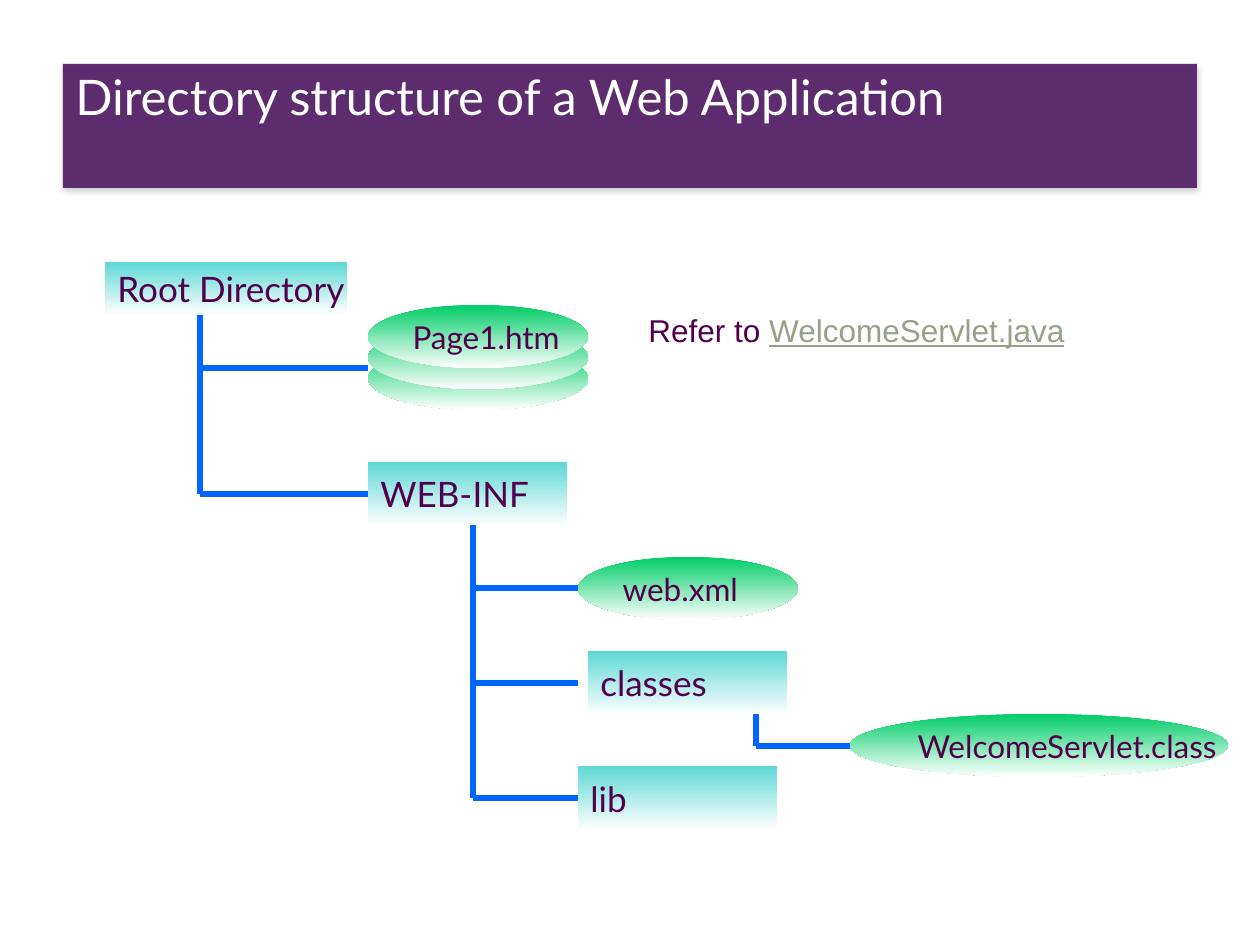
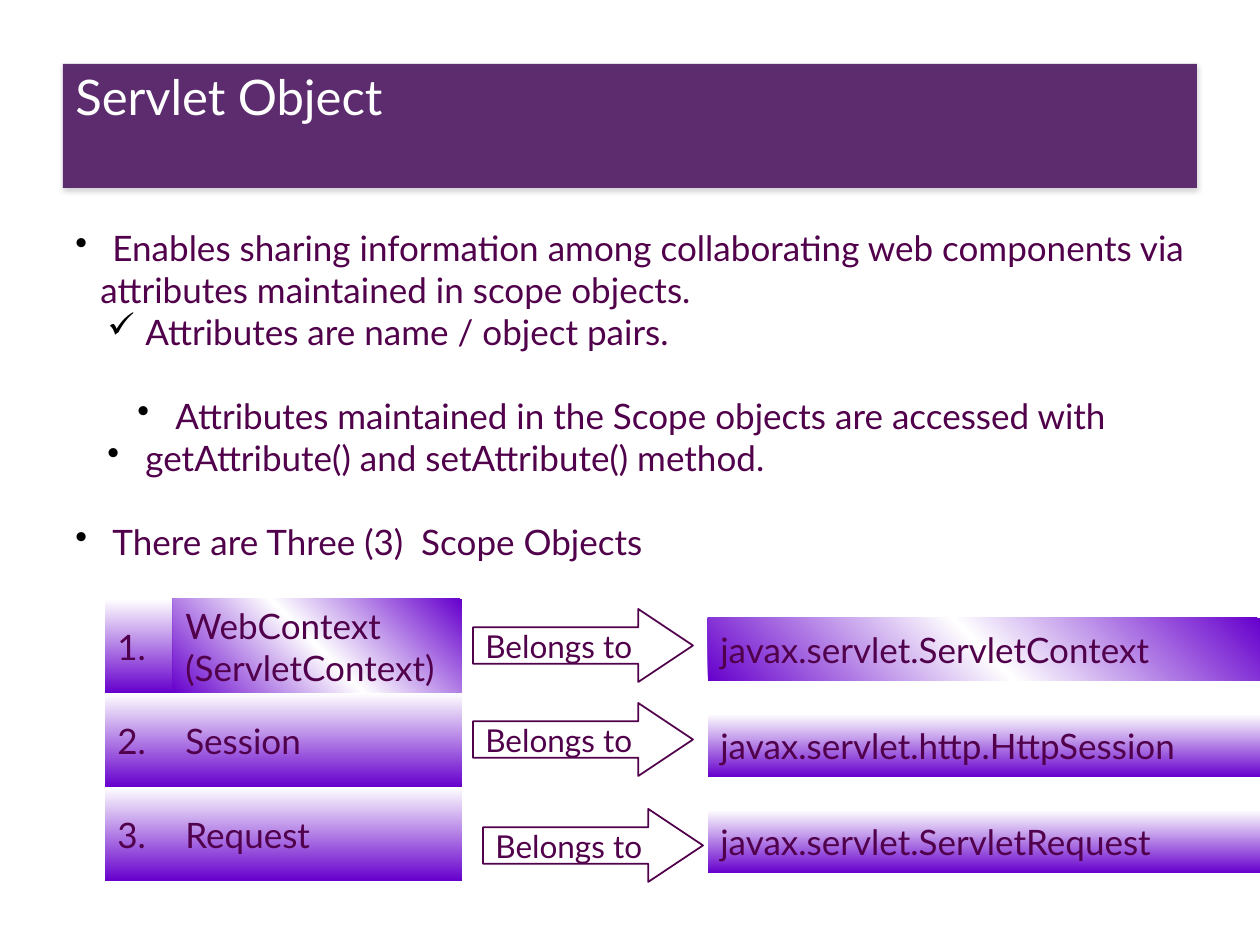
from copy import deepcopy

from lxml import etree
from pptx import Presentation
from pptx.dml.color import RGBColor
from pptx.enum.shapes import MSO_CONNECTOR, MSO_SHAPE
from pptx.enum.text import MSO_ANCHOR, PP_ALIGN
from pptx.oxml.ns import qn
from pptx.util import Pt

RECT, OVAL, ARROW = MSO_SHAPE.RECTANGLE, MSO_SHAPE.OVAL, MSO_SHAPE.RIGHT_ARROW
STRAIGHT = MSO_CONNECTOR.STRAIGHT
TOP, MIDDLE = MSO_ANCHOR.TOP, MSO_ANCHOR.MIDDLE
LEFT = PP_ALIGN.LEFT

PX = 914400 / 126
C = {
    "text": "51004B", "band": "562469", "white": "FFFFFF", "line": "0066FF",
    "folder": "5ED8D5", "file": "00CC66", "scope": "6600CC",
    "link": "95A289", "bullet": "000000", "shadow": "808080",
}
FOLDER = (C["folder"], C["white"])
FILE = (C["file"], C["white"])
SCOPE = (C["white"], C["scope"])
SCOPE_DIAGONAL = (C["scope"], C["white"], C["scope"])


def px(*values):
    return [round(v * PX) for v in values]


def box(s, kind, at, colours=(), lines=(), size=20, colour=C["text"],
        anchor=MIDDLE, wrap=False):
    """Add a shape: one colour fills it solid, several make a gradient."""
    sp = s.shapes.add_shape(kind, *px(*at))
    sp.shadow.inherit = False
    sp.line.fill.background()
    if not colours:
        sp.fill.background()
    elif len(colours) == 1:
        sp.fill.solid()
        sp.fill.fore_color.rgb = RGBColor.from_string(colours[0])
    else:
        sp.fill.gradient()
        # three colours run diagonally, two run downwards
        sp.fill.gradient_angle = 45 if len(colours) == 3 else 270
        stops = sp._element.spPr.find(qn("a:gradFill")).find(qn("a:gsLst"))
        for _ in colours[2:]:
            stops.append(deepcopy(stops[0]))
        for i, (stop, c) in enumerate(zip(sp.fill.gradient_stops, colours)):
            stop.position = i / (len(colours) - 1)
            stop.color.rgb = RGBColor.from_string(c)
    tf = sp.text_frame
    tf.word_wrap, tf.vertical_anchor = wrap, anchor
    for i, line in enumerate(lines):
        p = tf.paragraphs[0] if i == 0 else tf.add_paragraph()
        p.alignment = LEFT
        r = p.add_run()
        r.text = line
        for name, value in {"name": "Lato", "size": Pt(size)}.items():
            setattr(r.font, name, value)
        r.font.color.rgb = RGBColor.from_string(colour)
    return sp


prs = Presentation()
prs.slide_width, prs.slide_height = px(1260, 945)

# Title band on every slide
slides = []
for title in ("Directory structure of a Web Application", "Servlet Object"):
    s = prs.slides.add_slide(prs.slide_layouts[6])
    sp = box(s, RECT, (63, 64, 1134, 124), (C["band"],), (title,), size=28,
             colour=C["white"], anchor=TOP, wrap=True)
    sp.text_frame.margin_top = 0
    sp.text_frame.paragraphs[0].line_spacing = 1.05
    spPr = sp._element.spPr
    rgb = spPr.find(qn("a:solidFill"))[0]
    etree.SubElement(rgb, qn("a:alpha"), val="95000")
    shadow = etree.SubElement(spPr.find(qn("a:effectLst")), qn("a:outerShdw"),
                              blurRad="40000", dist="12700", dir="5400000",
                              rotWithShape="0")
    rgb = etree.SubElement(shadow, qn("a:srgbClr"), val=C["shadow"])
    etree.SubElement(rgb, qn("a:alpha"), val="38000")
    slides.append(s)

# Slide 1: directory tree
s = slides[0]
folders = {}
for name, at in (
    ("Root Directory", (105, 262, 242, 53)),
    ("WEB-INF", (368, 462, 199, 64)),
    ("classes", (588, 651, 199, 64)),
    ("lib", (578, 766, 199, 64)),
):
    folders[name] = box(s, RECT, at, FOLDER, (name,))

for lines, at in (
    ((), (368, 347, 220, 63)),
    ((), (368, 326, 220, 63)),
    (("Page1.htm",), (368, 305, 220, 63)),
    (("web.xml",), (578, 557, 220, 63)),
    (("WelcomeServlet.class",), (850, 714, 378, 63)),
):
    box(s, OVAL, at, FILE, lines, size=18)

for x1, y1, x2, y2, folder in (
    (200, 315, 200, 494, None),
    (200, 368, 368, 368, None),
    (200, 494, 368, 494, "WEB-INF"),
    (473, 525, 473, 798, None),
    (473, 588, 578, 588, None),
    (473, 683, 578, 683, None),
    (473, 798, 578, 798, "lib"),
    (756, 714, 756, 746, None),
    (756, 746, 850, 746, None),
):
    cn = s.shapes.add_connector(STRAIGHT, *px(x1, y1, x2, y2))
    cn.line.color.rgb = RGBColor.from_string(C["line"])
    cn.line.width = Pt(3)
    etree.SubElement(cn._element.spPr, qn("a:effectLst"))
    if folder:
        cn.end_connect(folders[folder], 1)

tf = s.shapes.add_textbox(*px(636, 305, 446, 51)).text_frame
tf.word_wrap = False
p = tf.paragraphs[0]
for text, colour, underline in (("Refer to ", "text", False),
                                ("WelcomeServlet.java", "link", True)):
    r = p.add_run()
    r.text = text
    for name, value in {"name": "Arial", "size": Pt(18),
                        "underline": underline}.items():
        setattr(r.font, name, value)
    r.font.color.rgb = RGBColor.from_string(C[colour])

# Slide 2: bullets, as (text, bullet, bullet x, text x, space before)
s = slides[1]
points = (
    ("Enables sharing information among collaborating web components via",
     "•", 0, 37, 0),
    ("attributes maintained in scope objects.", None, 25, 25, 0),
    ("Attributes are name / object pairs.", "✓", 32, 70, 0),
    ("Attributes maintained in the Scope objects are accessed with",
     "•", 62, 100, 24),
    ("getAttribute() and setAttribute() method.", "•", 32, 70, 0),
    ("There are Three (3)  Scope Objects", "•", 0, 37, 24),
)
sp = box(s, RECT, (63, 220, 1166, 368), (C["white"],),
         [point[0] for point in points], anchor=TOP, wrap=True)
for p, (_, bullet, bullet_x, text_x, before) in zip(sp.text_frame.paragraphs,
                                                    points):
    pPr = p._p.get_or_add_pPr()
    margin, indent = px(text_x, bullet_x - text_x)
    pPr.set("marL", str(margin))
    pPr.set("indent", str(indent))
    if bullet:
        clr = etree.SubElement(pPr, qn("a:buClr"))
        etree.SubElement(clr, qn("a:srgbClr"), val=C["bullet"])
        etree.SubElement(pPr, qn("a:buChar"), char=bullet)
    if before:
        p.space_before = Pt(before)

# Slide 2: scope objects, one row each
for i, (scope, owner, colours, arrow_x, arrow_y) in enumerate((
    (("WebContext", "(ServletContext)"), "javax.servlet.ServletContext",
     SCOPE_DIAGONAL, 473, 609),
    (("Session",), "javax.servlet.http.HttpSession", SCOPE, 473, 703),
    (("Request",), "javax.servlet.ServletRequest", SCOPE, 483, 809),
)):
    y = 599 + 94 * i
    box(s, RECT, (105, y, 68, 94), SCOPE, (f"{i + 1}.",))
    box(s, RECT, (173, y, 289, 94), colours, scope)
    box(s, RECT, (708, 618 + 96 * i, 552, 63), colours, (owner,))
    sp = box(s, ARROW, (arrow_x, arrow_y, 220, 73), (), ("Belongs to",), size=18)
    sp.adjustments[0], sp.adjustments[1] = 0.5, 0.75
    sp.line.color.rgb = RGBColor.from_string(C["text"])
    sp.line.width = Pt(1)

prs.save("out.pptx")
